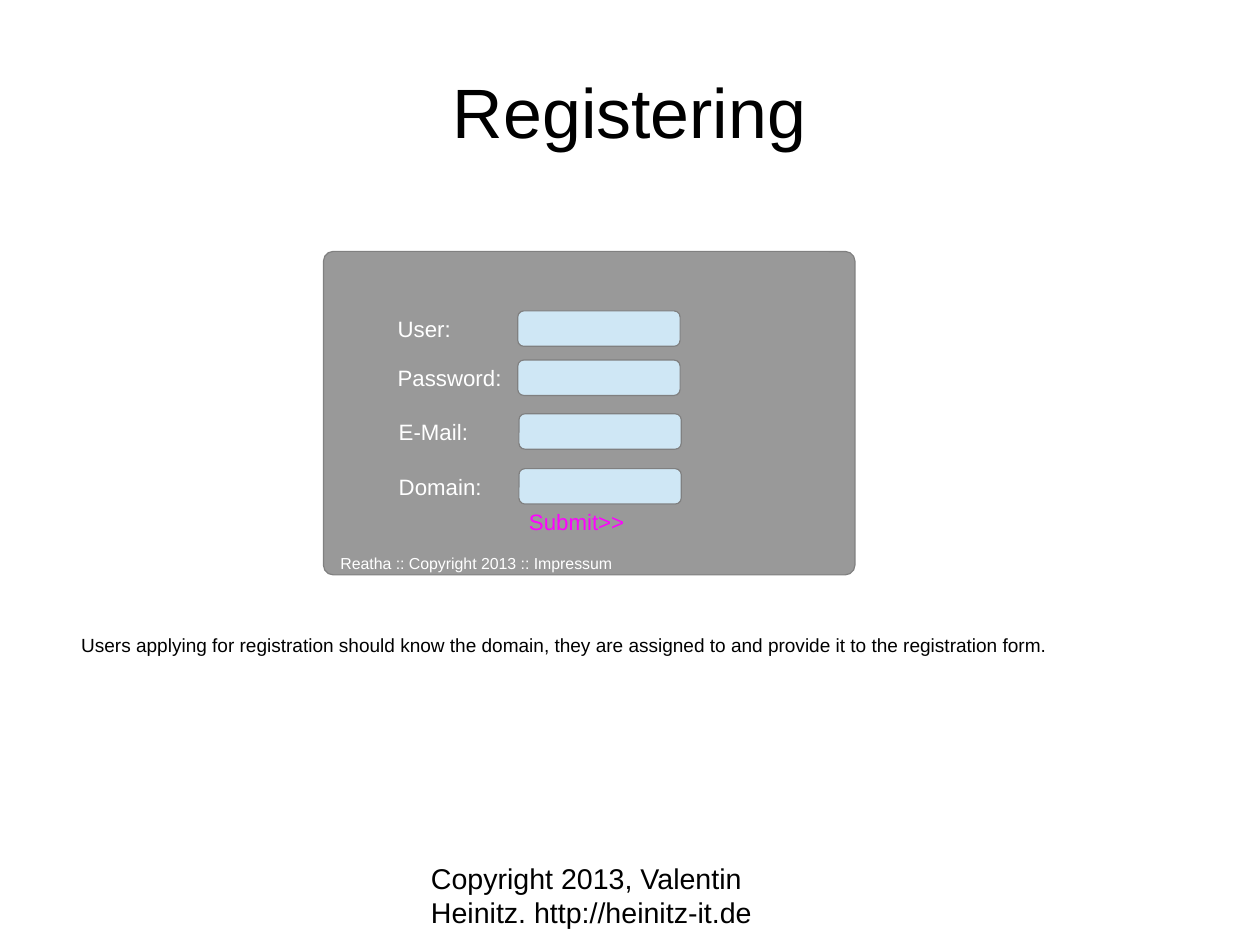
from dataclasses import dataclass

from lxml.etree import SubElement
from pptx import Presentation
from pptx.dml.color import RGBColor
from pptx.enum.shapes import MSO_SHAPE
from pptx.enum.text import MSO_ANCHOR, MSO_AUTO_SIZE, PP_ALIGN
from pptx.oxml.ns import qn
from pptx.util import Inches, Pt


@dataclass(frozen=True)
class Theme:
    font: str = "Arial"
    text: str = "000000"
    light: str = "FFFFFF"
    panel: str = "999999"
    field: str = "CFE7F5"
    border: str = "808080"
    link: str = "FF00FF"
    title_size: int = 44
    footer_size: int = 18
    label_size: int = 14
    body_size: int = 12
    small_size: int = 10


theme = Theme()
prs = Presentation()
# The page measures 28 by 21 cm
prs.slide_width, prs.slide_height = Inches(28 / 2.54), Inches(21 / 2.54)
slide = prs.slides.add_slide(prs.slide_layouts[1])


def add_box(left, top, width, height, fill, radius):
    sp = slide.shapes.add_shape(MSO_SHAPE.ROUNDED_RECTANGLE, Inches(left),
                                Inches(top), Inches(width), Inches(height))
    sp.adjustments[0] = radius
    sp.shadow.inherit = False
    sp.fill.solid()
    sp.fill.fore_color.rgb = RGBColor.from_string(fill)
    sp.line.color.rgb = RGBColor.from_string(theme.border)
    sp.line.width = Pt(0.75)


def write(sp, area, text, size, color, insets=(0, 0, 0, 0), spacing=0.93):
    """Place a text shape, fill in its single paragraph and return that."""
    sp.left, sp.top, sp.width, sp.height = [Inches(v) for v in area]
    tf = sp.text_frame
    tf.text = text
    tf.word_wrap = True
    tf.auto_size = MSO_AUTO_SIZE.NONE
    tf.margin_left, tf.margin_top, tf.margin_right, tf.margin_bottom = [
        Inches(v) for v in insets]
    p = tf.paragraphs[0]
    p.line_spacing = spacing
    p.space_before = Pt(0)
    font = p.runs[0].font
    font.name, font.size = theme.font, Pt(size)
    font.color.rgb = RGBColor.from_string(color)
    return p


title = slide.shapes.title
p = write(title, (0.55, 0.32, 9.92, 1.38), "Registering",
          theme.title_size, theme.text)
p.alignment = PP_ALIGN.CENTER
title.text_frame.vertical_anchor = MSO_ANCHOR.MIDDLE

body = slide.placeholders[1]
p = write(body, (0.71, 5.51, 9.92, 0.63),
          "Users applying for registration should know the domain, they are "
          "assigned to and provide it to the registration form.",
          theme.body_size, theme.text, (0, 0.03, 0, 0), 1.0)
p.space_after = Pt(14.1)
pPr = p._p.get_or_add_pPr()
pPr.set("marL", str(Inches(0.37)))
pPr.set("indent", str(Inches(-0.37)))
SubElement(pPr, qn("a:buNone"))

# Registration form
add_box(2.83, 2.2, 4.65, 2.83, theme.panel, 0.03)
fields = [("User:", 3.38, 2.72), ("Password:", 3.38, 3.15),
          ("E-Mail:", 3.39, 3.62), ("Domain:", 3.39, 4.1)]
labels = [("Submit>>", 4.53, 4.41, 1.2, theme.label_size, theme.link),
          ("Reatha :: Copyright 2013 :: Impressum", 2.88, 4.8, 4.6,
           theme.small_size, theme.light)]
for name, left, top in fields:
    add_box(left + 1.15, top, 1.42, 0.31, theme.field, 0.17)
    labels.append((name, left, top, 1.15, theme.label_size, theme.light))
for text, left, top, width, size, color in labels:
    write(slide.shapes.add_textbox(0, 0, 0, 0), (left, top, width, 0.32),
          text, size, color, (0.1, 0.06, 0.1, 0.05))

write(slide.shapes.add_textbox(0, 0, 0, 0), (3.77, 7.53, 3.49, 0.57),
      "Copyright 2013, Valentin Heinitz. http://heinitz-it.de",
      theme.footer_size, theme.text, spacing=1.0)

prs.save("out.pptx")
